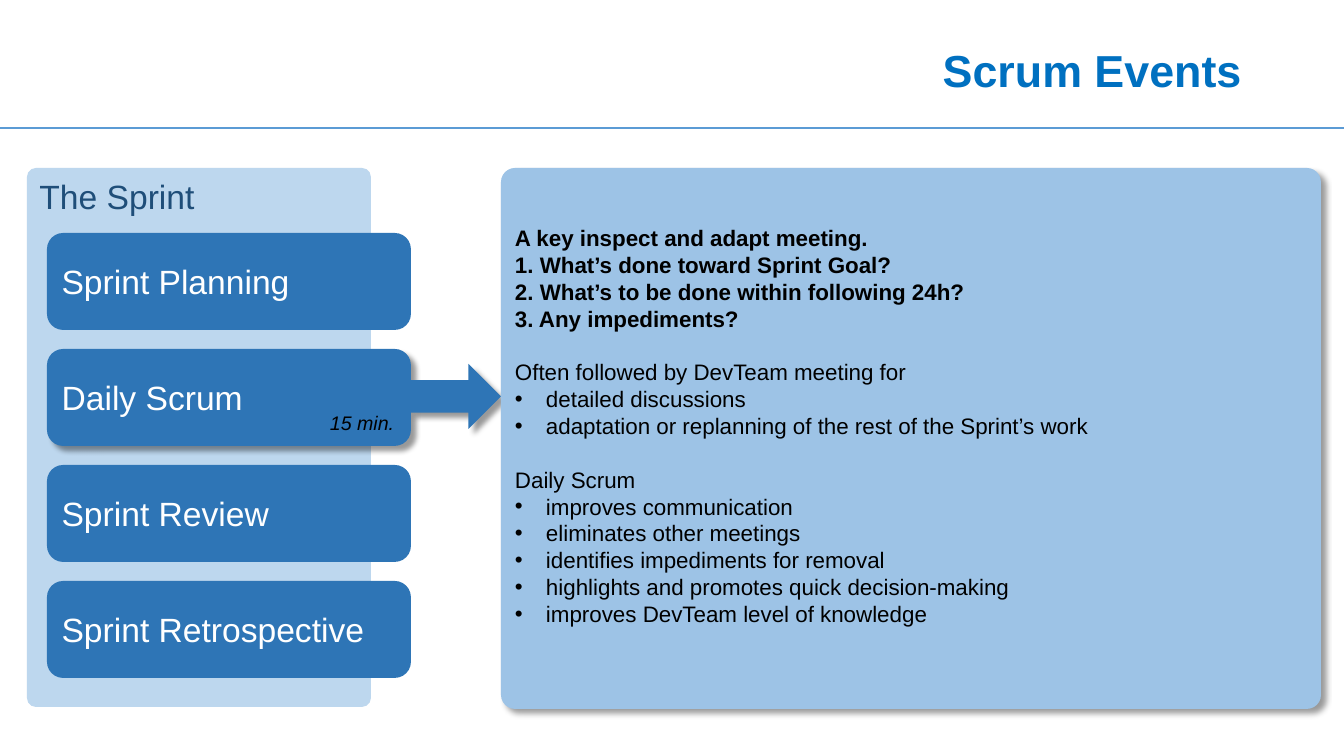
from lxml.etree import SubElement
from pptx import Presentation
from pptx.dml.color import RGBColor
from pptx.enum.shapes import MSO_CONNECTOR, MSO_SHAPE as Preset
from pptx.enum.text import MSO_ANCHOR as Anchor, MSO_AUTO_SIZE, PP_ALIGN as Align
from pptx.oxml.ns import qn
from pptx.util import Pt

TITLE = "Scrum Events"
SPRINT = "The Sprint"
EVENTS = ["Sprint Planning", "Daily Scrum", "Sprint Review", "Sprint Retrospective"]
CURRENT = "Daily Scrum"
DURATION = "15 min."
KEY_POINTS = [
    "A key inspect and adapt meeting.",
    "1. What’s done toward Sprint Goal?",
    "2. What’s to be done within following 24h?",
    "3. Any impediments?",
]
TOPICS = [
    ("Often followed by DevTeam meeting for", [
        "detailed discussions",
        "adaptation or replanning of the rest of the Sprint’s work",
    ]),
    ("Daily Scrum", [
        "improves communication",
        "eliminates other meetings",
        "identifies impediments for removal",
        "highlights and promotes quick decision-making",
        "improves DevTeam level of knowledge",
    ]),
]
COLORS = {
    "title": "0070C0", "rule": "5B9BD5", "sprint": "BDD7EE", "sprint_text": "1F4E79",
    "event": "2E75B6", "details": "9DC3E6", "white": "FFFFFF", "black": "000000",
}
FONT = "Arial"
WIDTH, HEIGHT = 1344, 756
RULE_Y = 128
EVENT_LEFT, EVENT_TOP, EVENT_WIDTH, EVENT_HEIGHT, EVENT_GAP = 47, 233, 364, 97, 19
ARROW_TOP, ARROW_WIDTH, ARROW_HEIGHT = 364, 90, 65
PANEL_TOP, PANEL_ROUNDING = 168, 0.026
DETAIL_LINE = Pt(19.2)


def px(length):
    return round(length * 914400 / 100.8)


def color(name):
    return RGBColor.from_string(COLORS[name])


def style(paragraph, size, tint, bold=False, italic=False):
    for run in paragraph.runs:
        font = run.font
        font.name, font.size, font.bold, font.italic = FONT, Pt(size), bold, italic
        font.color.rgb = color(tint)


def add_block(preset, box, fill, rounding=None, shadow=False):
    block = slide.shapes.add_shape(preset, *map(px, box))
    block.fill.solid()
    block.fill.fore_color.rgb = color(fill)
    block.line.fill.background()
    block.shadow.inherit = False
    if rounding is not None:
        block.adjustments[0] = rounding
    if shadow:
        effects = block._element.spPr.find(qn("a:effectLst"))
        outer = SubElement(effects, qn("a:outerShdw"), blurRad=str(Pt(4)),
                           dist=str(Pt(5)), dir=str(45 * 60000), algn="tl", rotWithShape="0")
        tint = SubElement(outer, qn("a:srgbClr"), val=COLORS["black"])
        SubElement(tint, qn("a:alpha"), val="40000")
    return block


def add_label(block, text, tint, anchor):
    frame = block.text_frame
    frame.text, frame.vertical_anchor = text, anchor
    frame.paragraphs[0].alignment = Align.LEFT
    style(frame.paragraphs[0], 24, tint)


def add_bullet(paragraph):
    properties = paragraph._p.get_or_add_pPr()
    properties.set("marL", str(px(31)))
    properties.set("indent", str(-px(31)))
    SubElement(properties, qn("a:buFont"), typeface=FONT)
    SubElement(properties, qn("a:buChar"), char="•")


presentation = Presentation()
presentation.slide_width, presentation.slide_height = px(WIDTH), px(HEIGHT)
slide = presentation.slides.add_slide(presentation.slide_layouts[5])

# Title and rule
title = slide.shapes.title
title.left, title.top, title.width, title.height = map(px, (93, 40, 1159, 65))
title.text_frame.text = TITLE
title.text_frame.vertical_anchor = Anchor.MIDDLE
heading = title.text_frame.paragraphs[0]
heading.alignment, heading.line_spacing = Align.RIGHT, 0.9
style(heading, 32, "title", bold=True)

rule = slide.shapes.add_connector(MSO_CONNECTOR.STRAIGHT, 0, px(RULE_Y), px(WIDTH), px(RULE_Y))
rule.line.color.rgb, rule.line.width = color("rule"), Pt(1.5)
SubElement(rule._element.spPr, qn("a:effectLst"))

# Sprint with its events
sprint = add_block(Preset.ROUNDED_RECTANGLE, (27, PANEL_TOP, 344, 539), "sprint", PANEL_ROUNDING)
add_label(sprint, SPRINT, "sprint_text", Anchor.TOP)
for row, event in enumerate(EVENTS):
    top = EVENT_TOP + row * (EVENT_HEIGHT + EVENT_GAP)
    card = add_block(Preset.ROUNDED_RECTANGLE, (EVENT_LEFT, top, EVENT_WIDTH, EVENT_HEIGHT),
                     "event", shadow=event == CURRENT)
    add_label(card, event, "white", Anchor.MIDDLE)

# Arrow from the current event to its details
arrow_left = EVENT_LEFT + EVENT_WIDTH
add_block(Preset.RIGHT_ARROW, (arrow_left, ARROW_TOP, ARROW_WIDTH, ARROW_HEIGHT),
          "event", shadow=True)

# Details
details = add_block(Preset.ROUNDED_RECTANGLE, (arrow_left + ARROW_WIDTH, PANEL_TOP, 820, 541),
                    "details", PANEL_ROUNDING, shadow=True)
body = details.text_frame
body.vertical_anchor, body.margin_top = Anchor.TOP, px(52)
lines = [(point, "key") for point in KEY_POINTS]
for topic, items in TOPICS:
    lines += [(topic, "topic")] + [(item, "item") for item in items]
for number, (text, role) in enumerate(lines):
    line = body.add_paragraph() if number else body.paragraphs[0]
    line.text = text
    if role == "item":
        add_bullet(line)
    line.alignment, line.line_spacing = Align.JUSTIFY, DETAIL_LINE
    if role == "topic":
        line.space_before = DETAIL_LINE
    style(line, 16, "black", bold=role == "key")

# Duration of the current event
duration = slide.shapes.add_textbox(*map(px, (320, 406, 85, 34))).text_frame
duration.text = DURATION
duration.word_wrap, duration.auto_size = False, MSO_AUTO_SIZE.SHAPE_TO_FIT_TEXT
style(duration.paragraphs[0], 14, "black", italic=True)

presentation.save("out.pptx")
